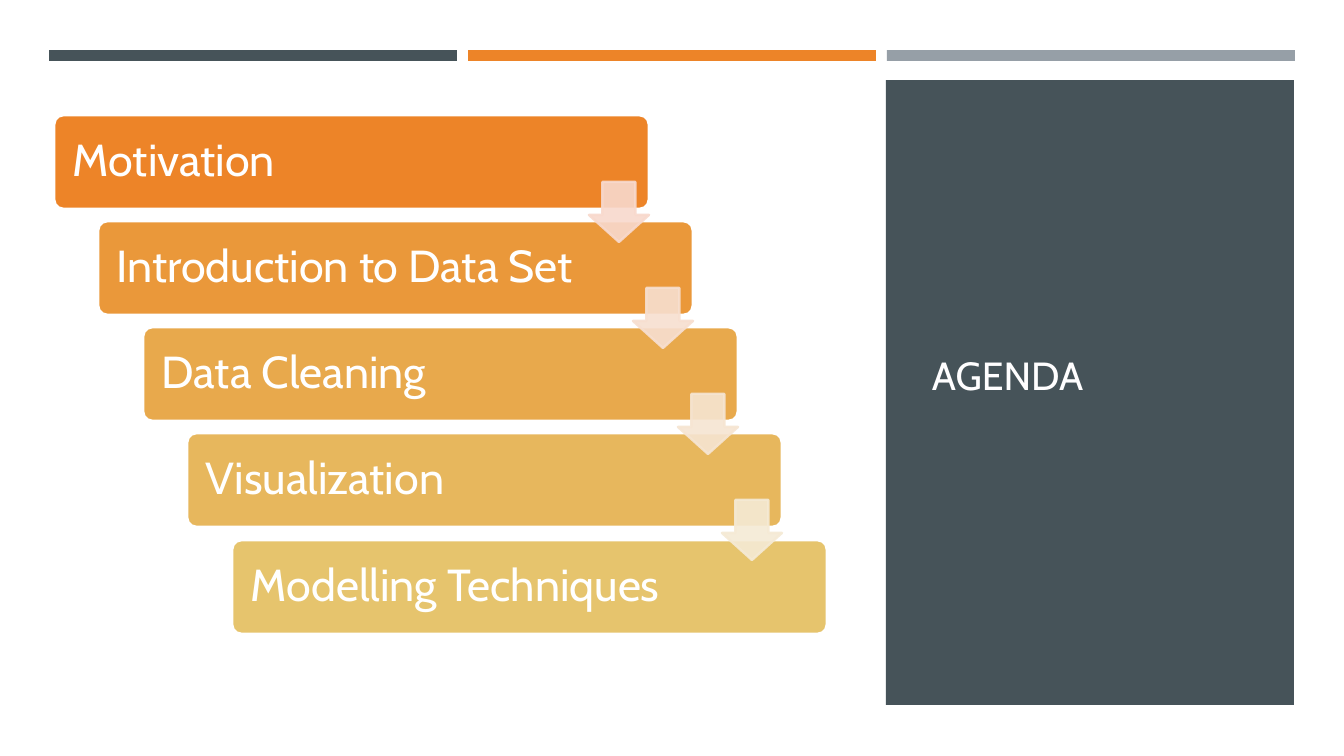
from dataclasses import dataclass

from lxml import etree
from pptx import Presentation
from pptx import util as u
from pptx.dml.color import RGBColor
from pptx.enum import shapes, text
from pptx.oxml import ns


@dataclass(frozen=True)
class Theme:
    font: str = "Cabin"
    title_size: int = 28
    step_size: int = 32
    title: str = "FFFEFF"
    white: str = "FFFFFF"
    panel: str = "465359"
    bars: tuple = ("465359", "ED8428", "969FA7")
    steps: tuple = ("ED8428", "EA983A", "E8A94C", "E7B75D", "E6C46D")
    arrows: tuple = ("F8D9CD", "F7DFD0", "F6E5D2", "F5EAD5")


THEME = Theme()
STEPS = ("Motivation", "Introduction to Data Set", "Data Cleaning",
         "Visualization", "Modelling Techniques")


def px(n):
    return u.Emu(round(n * 914400 / 100.8))


def set_alpha(fill_parent, percent):
    for clr in fill_parent.iter(ns.qn("a:srgbClr")):
        etree.SubElement(clr, ns.qn("a:alpha"), val=str(percent * 1000))


def add_box(s, kind, box, fill, line=None, width=0, adj=(), alpha=None):
    sp = s.shapes.add_shape(kind, *map(px, box))
    sp.shadow.inherit = False
    sp.fill.solid()
    sp.fill.fore_color.rgb = RGBColor.from_string(fill)
    if line:
        sp.line.color.rgb = RGBColor.from_string(line)
        sp.line.width = u.Pt(width)
    else:
        sp.line.fill.background()
    for i, value in enumerate(adj):
        sp.adjustments[i] = value
    if alpha:
        set_alpha(sp.element.spPr, alpha)
    return sp


def write(sp, words, size, color, inset, spacing=1.0):
    tf = sp.text_frame
    tf.word_wrap = True
    tf.vertical_anchor = text.MSO_ANCHOR.MIDDLE
    tf.margin_left = tf.margin_right = px(inset)
    p = tf.paragraphs[0]
    p.alignment = text.PP_ALIGN.LEFT
    p.line_spacing = spacing
    r = p.add_run()
    r.text = words
    r.font.name = THEME.font
    r.font.size = u.Pt(size)
    r.font.color.rgb = RGBColor.from_string(color)


def add_bars(s, box):
    x, y, w, h = box
    gap = 10
    bar_w = (w - 2 * gap) // 3
    for i, color in enumerate(THEME.bars):
        left = x + i * (w - bar_w) // 2
        add_box(s, shapes.MSO_SHAPE.RECTANGLE, (left, y, bar_w, h), color)


def add_title_panel(s, box):
    x, y, w, h = box
    add_box(s, shapes.MSO_SHAPE.RECTANGLE, box, THEME.panel)
    tb = s.shapes.add_textbox(*map(px, (x + 36, y + 35, w - 72, h - 106)))
    write(tb, "AGENDA", THEME.title_size, THEME.title, inset=10)


def add_staircase(s, box):
    x, y, w, h = box
    step_w, step_h, arrow = 595, 94, 60
    last = len(STEPS) - 1
    corners = [(x + i * (w - step_w) // last, y + i * (h - step_h) // last)
               for i in range(len(STEPS))]
    for (left, top), words, color in zip(corners, STEPS, THEME.steps):
        sp = add_box(s, shapes.MSO_SHAPE.ROUNDED_RECTANGLE,
                     (left, top, step_w, step_h), color,
                     line=THEME.white, width=2, adj=(0.1,))
        write(sp, words, THEME.step_size, THEME.white, inset=16, spacing=0.9)
    for (left, top), color in zip(corners, THEME.arrows):
        add_box(s, shapes.MSO_SHAPE.DOWN_ARROW,
                (left + step_w - arrow, top + 67, arrow, arrow), color,
                line=color, width=1.75, adj=(0.55, 0.45), alpha=90)


def main():
    prs = Presentation()
    prs.slide_width, prs.slide_height = px(1344), px(756)
    s = prs.slides.add_slide(prs.slide_layouts[6])
    add_bars(s, (49, 50, 1246, 11))
    add_title_panel(s, (886, 80, 408, 625))
    add_staircase(s, (54, 115, 773, 519))
    prs.save("out.pptx")


main()
